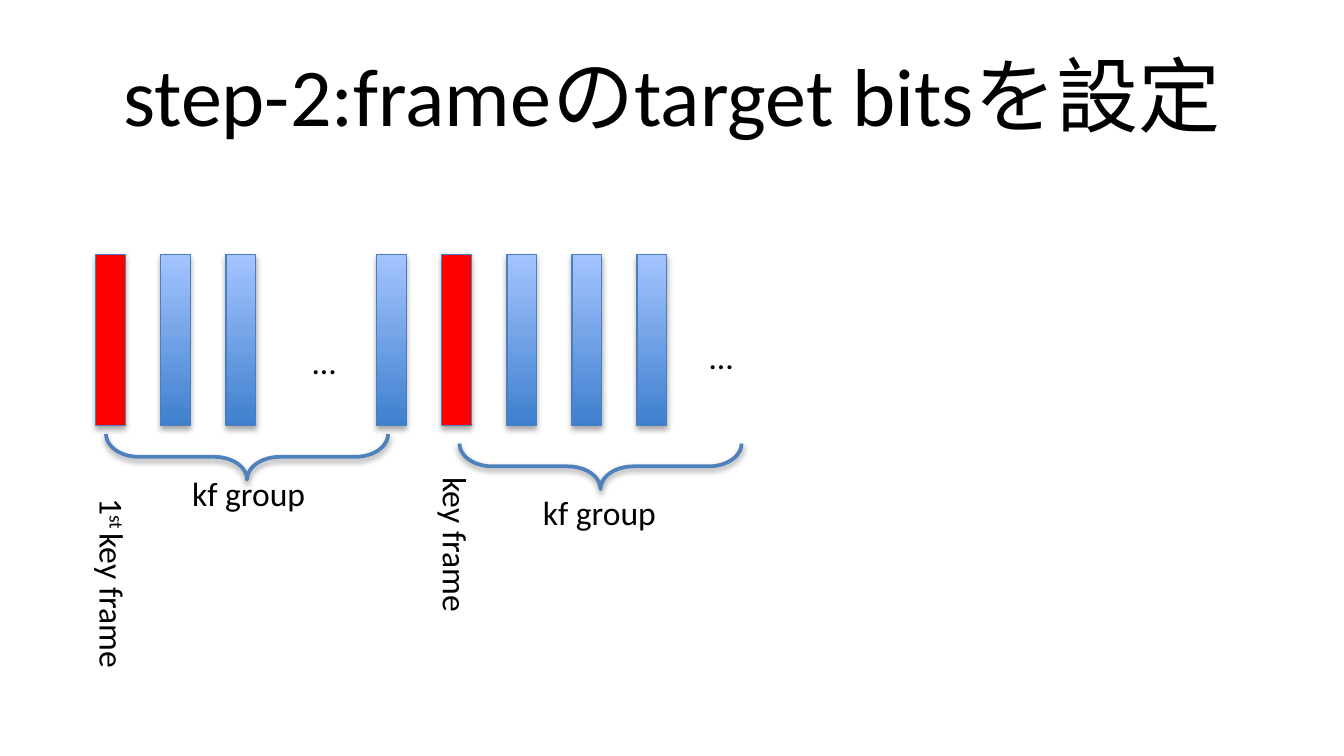
"""Build the slide on setting target bits per frame within key frame groups."""
from lxml import etree
from pptx import Presentation
from pptx.dml.color import RGBColor
from pptx.enum.shapes import MSO_SHAPE
from pptx.enum.text import MSO_ANCHOR, MSO_AUTO_SIZE, PP_ALIGN
from pptx.oxml.ns import qn
from pptx.util import Cm, Pt

RECTANGLE, LEFT_BRACE = MSO_SHAPE.RECTANGLE, MSO_SHAPE.LEFT_BRACE
LEFT, CENTER = PP_ALIGN.LEFT, PP_ALIGN.CENTER
TOP, MIDDLE = MSO_ANCHOR.TOP, MSO_ANCHOR.MIDDLE
FIT_SHAPE, FIXED = MSO_AUTO_SIZE.SHAPE_TO_FIT_TEXT, MSO_AUTO_SIZE.NONE
COLORS = {
    "key": "FF0000", "dark": "3F80CE", "light": "A4C4FF",
    "edge": "4B7EBC", "brace": "4F81BD", "ink": "000000",
}


def add_text(text, left, top, width, height=1.02, size=18, rotation=0, raised="",
             align=LEFT, anchor=TOP, wrap=False, fit=FIT_SHAPE):
    box = slide.shapes.add_textbox(Cm(left), Cm(top), Cm(width), Cm(height))
    box.rotation = rotation
    frame = box.text_frame
    frame.word_wrap, frame.auto_size, frame.vertical_anchor = wrap, fit, anchor
    paragraph = frame.paragraphs[0]
    paragraph.alignment = align
    for part in text.partition(raised) if raised else [text]:
        run = paragraph.add_run()
        run.text = part
        run.font.name, run.font.size = "Calibri", Pt(size)
        run.font.color.rgb = RGBColor.from_string(COLORS["ink"])
        if part == raised:
            run.font._element.set("baseline", "30000")


def outline_with_shadow(shape, color, weight, distance, opacity):
    shape.line.color.rgb = RGBColor.from_string(COLORS[color])
    shape.line.width = Pt(weight)
    shape.shadow.inherit = False
    effects = shape._element.spPr.find(qn("a:effectLst"))
    shadow = etree.SubElement(effects, qn("a:outerShdw"), blurRad=str(Pt(3.15)),
                              dist=str(Pt(distance)), dir="5400000", rotWithShape="0")
    tint = etree.SubElement(shadow, qn("a:srgbClr"), val=COLORS["ink"])
    etree.SubElement(tint, qn("a:alpha"), val=str(opacity * 1000))


deck = Presentation()
deck.slide_width, deck.slide_height = Cm(25.4), Cm(14.29)
slide = deck.slides.add_slide(deck.slide_layouts[6])

FRAME_PITCH = 1.23
for group_left, kinds in [(1.81, "kff"), (7.12, "fkfff")]:
    for position, kind in enumerate(kinds):
        frame_bar = slide.shapes.add_shape(
            RECTANGLE, Cm(group_left + position * FRAME_PITCH), Cm(4.81), Cm(0.56), Cm(3.23))
        if kind == "k":
            frame_bar.fill.solid()
            frame_bar.fill.fore_color.rgb = RGBColor.from_string(COLORS["key"])
        else:
            frame_bar.fill.gradient()
            frame_bar.fill.gradient_angle = 90
            for stop, shade in zip(frame_bar.fill.gradient_stops, ["dark", "light"]):
                stop.color.rgb = RGBColor.from_string(COLORS[shade])
        outline_with_shadow(frame_bar, "edge", 0.75, 1.8, 35)

for brace_left, brace_top, label_left, label_top in [(4.24, 5.97, 3.38, 8.81),
                                                     (10.92, 6.15, 10.01, 9.17)]:
    brace = slide.shapes.add_shape(
        LEFT_BRACE, Cm(brace_left), Cm(brace_top), Cm(0.86), Cm(5.33))
    brace.rotation = 270
    brace.adjustments[0] = 0.72
    brace.fill.background()
    outline_with_shadow(brace, "brace", 2, 1.6, 38)
    add_text("kf group", label_left, label_top, 2.69)

add_text("1st key frame", 0.1, 10.69, 4.06, rotation=90, raised="st ")
add_text("key frame", 7.06, 9.83, 3.12, rotation=90)
add_text("…", 5.66, 6.32, 0.97)
add_text("…", 13.16, 6.22, 0.97)
add_text("step-2:frameのtarget bitsを設定", 1.27, 0.58, 22.86, 2.39, size=44,
         align=CENTER, anchor=MIDDLE, wrap=True, fit=FIXED)

deck.save("out.pptx")
